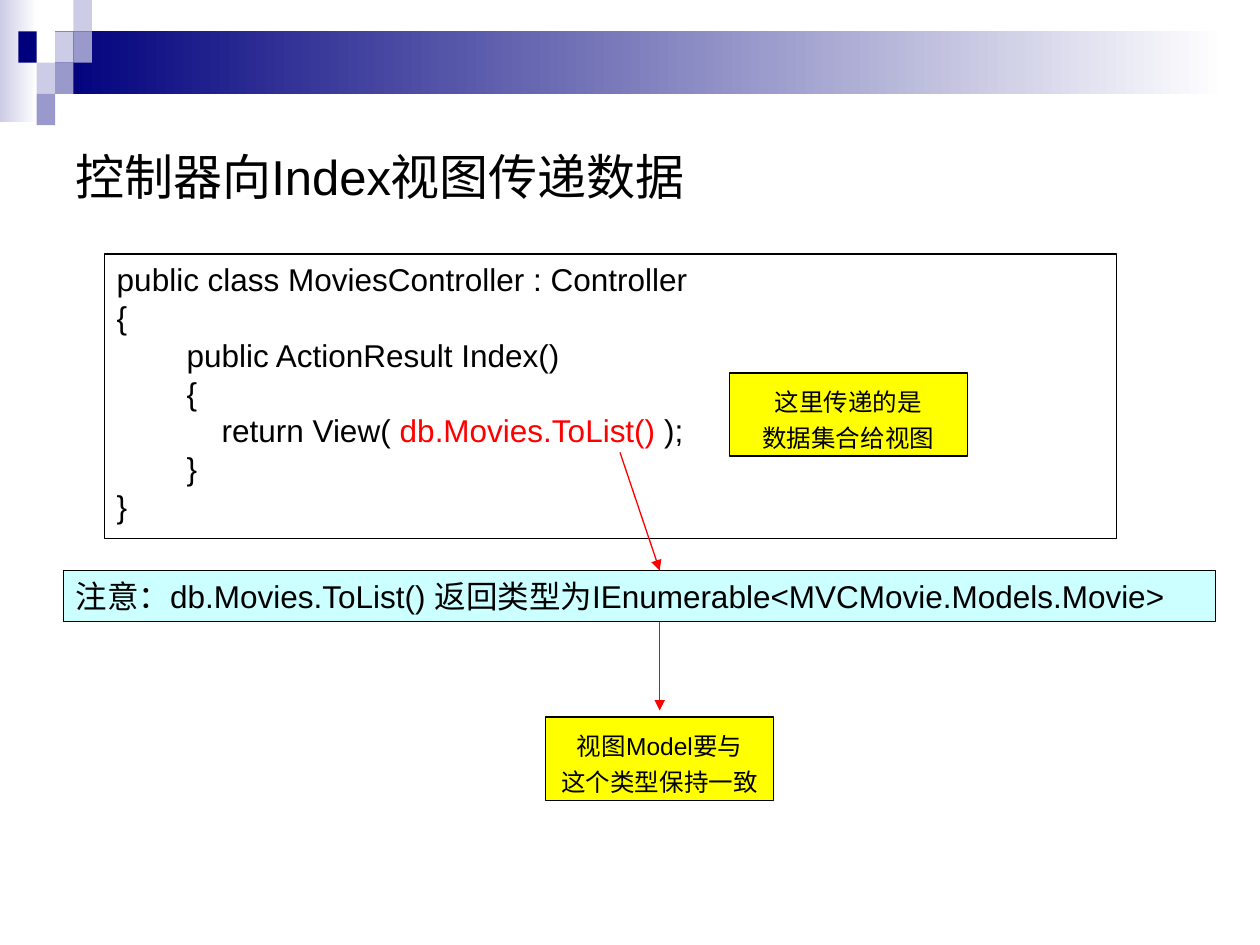
from pptx import Presentation
from pptx.dml.color import RGBColor
from pptx.enum.shapes import MSO_CONNECTOR as Connector, MSO_SHAPE as Shape
from pptx.enum.text import MSO_ANCHOR as Anchor, MSO_AUTO_SIZE as AutoSize, PP_ALIGN as Align
from pptx.oxml.ns import qn
from pptx.util import Pt
from lxml.etree import SubElement

COLORS = {
    "navy": "00007D", "mid": "9999CC", "light": "CCCCE6", "white": "FFFFFF",
    "black": "000000", "red": "FF0000", "yellow": "FFFF00", "cyan": "CCFFFF",
}
FONT = "Arial"


def color(name):
    return RGBColor.from_string(COLORS[name])


def add_rect(page, box, fill=None, line=None):
    rect = page.shapes.add_shape(Shape.RECTANGLE, *map(Pt, box))
    rect.shadow.inherit = False
    if fill:
        rect.fill.solid()
        rect.fill.fore_color.rgb = color(fill)
    else:
        rect.fill.background()
    if line:
        rect.line.color.rgb = color(line)
        rect.line.width = Pt(0.75)
    else:
        rect.line.fill.background()
    return rect


def add_fade(page, box, start):
    """Rectangle fading from a colour on the left to white on the right."""
    fill = add_rect(page, box).fill
    fill.gradient()
    fill.gradient_angle = 0
    for stop, name, position in zip(fill.gradient_stops, (start, "white"), (0, 1)):
        stop.color.rgb = color(name)
        stop.position = position


def add_span(para, text, size, name="black"):
    span = para.add_run()
    span.text = text
    span.font.name = FONT
    span.font.size = Pt(size)
    span.font.color.rgb = color(name)


def add_header(page, left, top):
    add_fade(page, (left, top, 21.5, 70), "light")
    add_fade(page, (left + 31.5, top + 18, 669, 36), "navy")
    cell_width, cell_height = 10.5, 17.9
    tiles = [(3, 1, "light"), (4, 0, "light"), (4, 1, "mid"), (2, 2, "light"),
             (1, 1, "navy"), (3, 2, "mid"), (2, 3, "mid")]
    for column, row, name in tiles:
        box = (left + column * cell_width, top + row * cell_height, cell_width, cell_height)
        add_rect(page, box, name)


def set_title(page, box, text):
    title = page.shapes.title
    title.left, title.top, title.width, title.height = map(Pt, box)
    title.text_frame.vertical_anchor = Anchor.MIDDLE
    para = title.text_frame.paragraphs[0]
    para.alignment = Align.LEFT
    para.line_spacing = 1.2
    add_span(para, text, 28)


def add_text_box(page, box, lines, size=18, fill=None, align=Align.LEFT, spacing=None):
    """Outlined box; each line is a list of (text, colour) pairs."""
    frame = add_rect(page, box, fill, "black").text_frame
    frame.word_wrap = True
    frame.auto_size = AutoSize.SHAPE_TO_FIT_TEXT
    frame.vertical_anchor = Anchor.TOP
    for index, line in enumerate(lines):
        para = frame.add_paragraph() if index else frame.paragraphs[0]
        para.alignment = align
        para.line_spacing = spacing
        for text, name in line:
            add_span(para, text, size, name)


def add_callout(page, box, *lines):
    add_text_box(page, box, [[(line, "black")] for line in lines], 14,
                 "yellow", Align.CENTER, 1.25)


def add_arrow(page, start, end):
    arrow = page.shapes.add_connector(Connector.STRAIGHT, *map(Pt, start + end))
    arrow.line.color.rgb = color("red")
    arrow.line.width = Pt(0.75)
    SubElement(arrow.line._get_or_add_ln(), qn("a:tailEnd"), type="triangle")
    SubElement(arrow._element.spPr, qn("a:effectLst"))


def main():
    deck = Presentation()
    deck.slide_width, deck.slide_height = Pt(720), Pt(540)
    page = deck.slides.add_slide(deck.slide_layouts[5])
    add_header(page, 0, 0)
    set_title(page, (36, 71.5, 648, 51), "控制器向Index视图传递数据")

    code = [
        [("public class MoviesController : Controller", "black")],
        [("{", "black")],
        [("        public ActionResult Index()", "black")],
        [("        {", "black")],
        [("            return View( ", "black"), ("db.Movies.ToList() ", "red"), (");", "black")],
        [("        }", "black")],
        [("}", "black")],
    ]
    add_text_box(page, (59.6, 145.2, 578.4, 162.6), code)
    add_callout(page, (416.8, 213.2, 136, 47.5), "这里传递的是", "数据集合给视图")

    note = "注意：db.Movies.ToList() 返回类型为IEnumerable<MVCMovie.Models.Movie>"
    add_text_box(page, (36.2, 326, 658.6, 29), [[(note, "black")]], fill="cyan")
    add_arrow(page, (354.3, 258.5), (377, 326))
    add_arrow(page, (377, 355.5), (377, 406))
    add_callout(page, (311.6, 409.8, 130.6, 47.5), "视图Model要与", "这个类型保持一致")
    deck.save("out.pptx")


if __name__ == "__main__":
    main()
